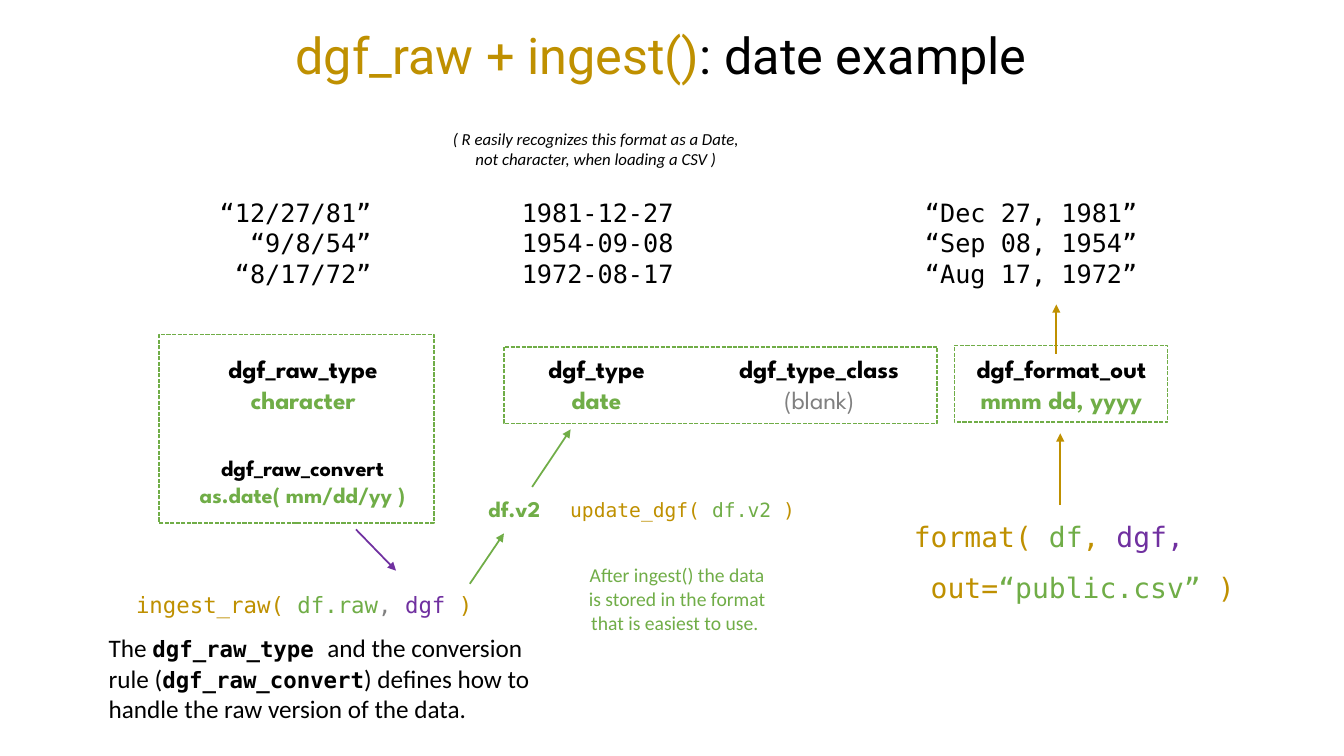
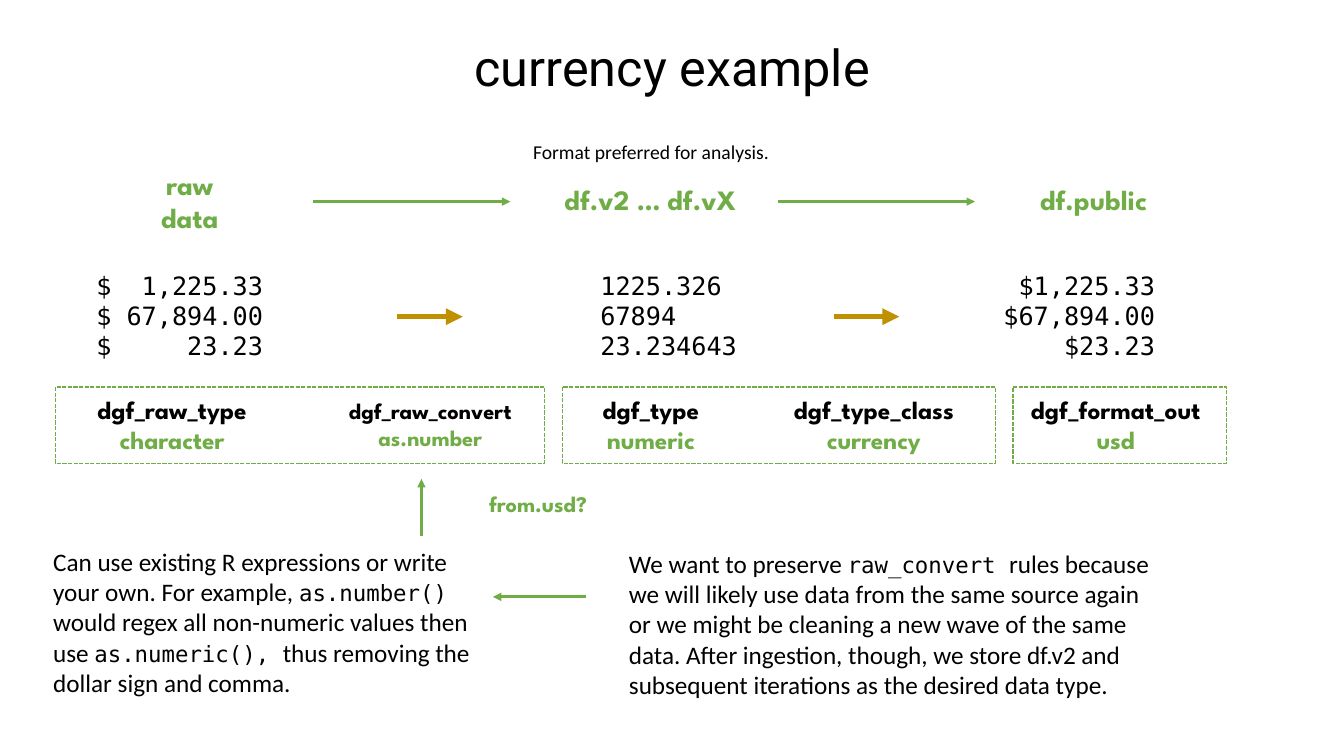
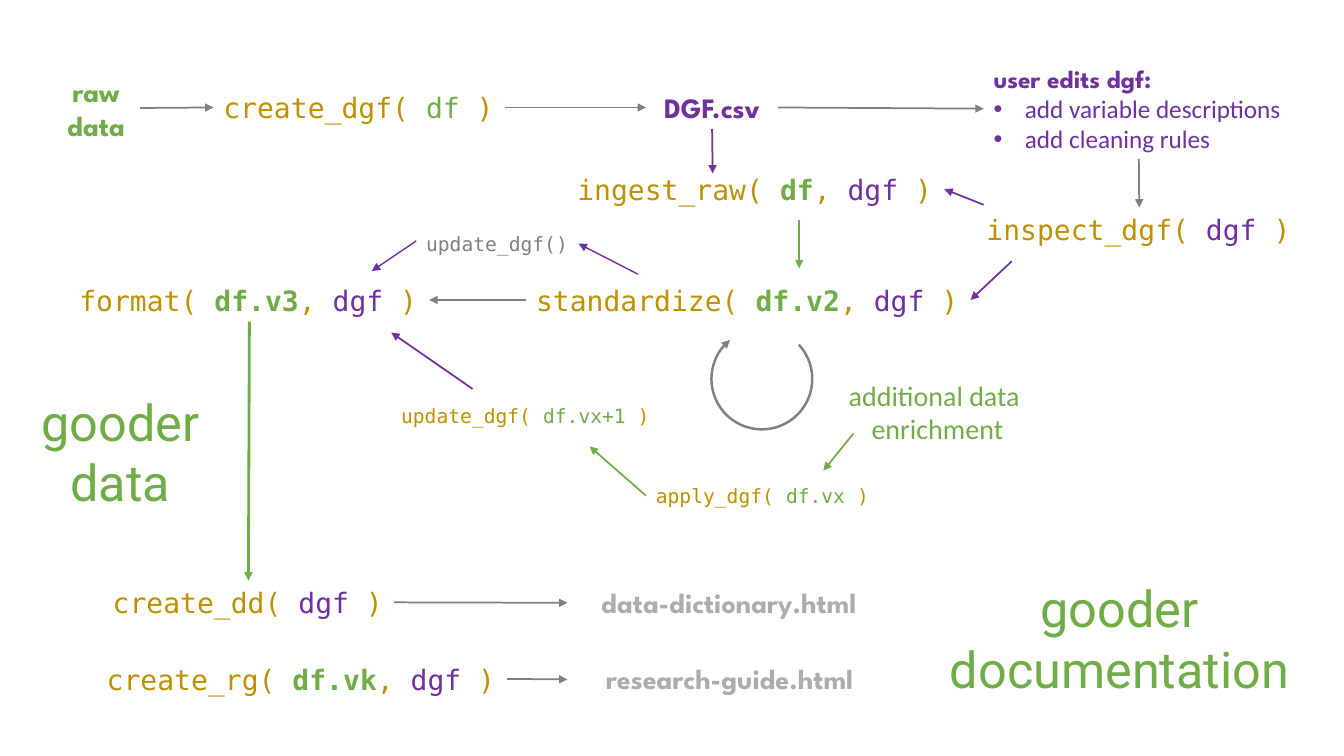
from typing import NamedTuple

from lxml import etree
from pptx import Presentation
from pptx.dml.color import RGBColor
from pptx.enum.dml import MSO_LINE
from pptx.enum.shapes import MSO_CONNECTOR, MSO_SHAPE
from pptx.enum.text import MSO_AUTO_SIZE, PP_ALIGN
from pptx.oxml.ns import qn
from pptx.util import Cm, Pt

BLACK = RGBColor(0x00, 0x00, 0x00)
GREEN = RGBColor(0x70, 0xAD, 0x47)
GOLD = RGBColor(0xBF, 0x90, 0x00)
PURPLE = RGBColor(0x70, 0x30, 0xA0)
GRAY = RGBColor(0x80, 0x80, 0x80)
SILVER = RGBColor(0xAF, 0xAB, 0xAB)

BODY, MONO, HEAVY, TITLE = "Calibri", "DejaVu Sans Mono", "League Spartan", "Roboto"

LEFT, CENTER = PP_ALIGN.LEFT, PP_ALIGN.CENTER
FIT = MSO_AUTO_SIZE.SHAPE_TO_FIT_TEXT
STRAIGHT = MSO_CONNECTOR.STRAIGHT
RECTANGLE, ARC = MSO_SHAPE.RECTANGLE, MSO_SHAPE.ARC
SHORT_DASH = MSO_LINE.SQUARE_DOT
TOP_SIDE, LEFT_SIDE, BOTTOM_SIDE, RIGHT_SIDE = range(4)


class Style(NamedTuple):
    font: str
    size: float
    color: RGBColor = BLACK
    bold: bool = False
    italic: bool = False


PROSE = Style(BODY, 18)
PROSE_CODE = Style(MONO, 16)
PROSE_KEY = Style(MONO, 16, bold=True)
STAGE = Style(HEAVY, 20, GREEN, True)
STEP = Style(HEAVY, 16, GREEN, True)
FILE = Style(HEAVY, 20, SILVER, True)
RESULT = Style(TITLE, 36, GREEN)

DF, DGF = ("df", GREEN), ("dgf", PURPLE)


def apply_style(span, style):
    font = span.font
    font.name, font.size = style.font, Pt(style.size)
    font.bold, font.italic = style.bold, style.italic
    font.color.rgb = style.color


def add_arrowhead(shape):
    line = shape._element.spPr.find(qn("a:ln"))
    etree.SubElement(line, qn("a:tailEnd"), type="triangle")


class Sketch:
    """Draws on the current slide; all places and sizes are in centimetres."""

    def __init__(self):
        self.deck = Presentation()
        self.deck.slide_width, self.deck.slide_height = Cm(33.87), Cm(19.05)

    def new_slide(self):
        self.page = self.deck.slides.add_slide(self.deck.slide_layouts[6])
        self.shapes = self.page.shapes

    def box(self, left, top, width, size, rows, wrap):
        """Add an empty text box as high as its rows of text."""
        height = Pt(1.2 * size * rows) + Cm(0.25)
        box = self.shapes.add_textbox(Cm(left), Cm(top), Cm(width), height)
        box.text_frame.word_wrap = wrap
        box.text_frame.auto_size = FIT
        return box

    def label(self, left, top, width, text, style, align=CENTER, rows=1, wrap=False):
        """Set text in one style; a vertical tab breaks the line."""
        box = self.box(left, top, width, style.size, rows, wrap)
        box.text_frame.text = text
        for para in box.text_frame.paragraphs:
            para.alignment = align
            for span in para.runs:
                apply_style(span, style)
        return box

    def mixed_text(self, left, top, width, paragraphs, size, rows=1, wrap=False,
                   align=LEFT, spacing=None):
        """Set paragraphs, each a list of (text, style) pairs."""
        box = self.box(left, top, width, size, rows, wrap)
        frame = box.text_frame
        for number, pieces in enumerate(paragraphs):
            para = frame.add_paragraph() if number else frame.paragraphs[0]
            para.alignment = align
            if spacing:
                para.line_spacing = spacing
            for text, style in pieces:
                span = para.add_run()
                span.text = text
                apply_style(span, style)
        return box

    def title(self, left, top, width, *pieces):
        pieces = [(text, Style(TITLE, 36, color)) for text, color in pieces]
        self.mixed_text(left, top, width, [pieces], 36, align=CENTER)

    def call(self, left, top, width, name, *arguments, size=20, comma=GOLD):
        """Show a function call; an argument is (text, colour) or (text, colour, bold)."""
        pieces = [(name + "( ", Style(MONO, size, GOLD))]
        for number, (text, color, *bold) in enumerate(arguments):
            if number:
                pieces.append((", ", Style(MONO, size, comma)))
            pieces.append((text, Style(MONO, size, color, bool(bold))))
        pieces.append((" )", Style(MONO, size, GOLD)))
        return self.mixed_text(left, top, width, [pieces], size)

    def field(self, left, top, width, name, value, size=18, color=GREEN, bold=True):
        paragraphs = [[(name, Style(HEAVY, size, BLACK, True))],
                      [(value, Style(HEAVY, size, color, bold))]]
        self.mixed_text(left, top, width, paragraphs, size, rows=2, align=CENTER)

    def values(self, left, top, width, stops, rows):
        """Show rows of data lined up on tab stops (centimetres, alignment)."""
        box = self.label(left, top, width, "\n".join(rows), Style(MONO, 18),
                         LEFT, len(rows), True)
        for para in box.text_frame.paragraphs:
            tabs = etree.SubElement(para._p.get_or_add_pPr(), qn("a:tabLst"))
            for position, align in stops:
                etree.SubElement(tabs, qn("a:tab"), pos=str(Cm(position)), algn=align)

    def bullet(self, para):
        properties = para._p.get_or_add_pPr()
        indent = Cm(0.79)
        properties.set("marL", str(indent))
        properties.set("indent", str(-indent))
        etree.SubElement(properties, qn("a:buFont"), typeface="Arial")
        etree.SubElement(properties, qn("a:buChar"), char="•")

    def frame(self, left, top, width, height=1.93):
        frame = self.shapes.add_shape(RECTANGLE, Cm(left), Cm(top), Cm(width), Cm(height))
        frame.shadow.inherit = False
        frame.fill.background()
        frame.line.color.rgb = GREEN
        frame.line.width = Pt(1)
        frame.line.dash_style = SHORT_DASH

    def arrow(self, start, end, color=GREEN, width=1.25):
        """Draw an arrow; each end is a point (x, y) or a joint (box, side)."""
        joints = [not isinstance(place[0], (int, float)) for place in (start, end)]
        points = [(0, 0) if joint else place
                  for joint, place in zip(joints, (start, end))]
        arrow = self.shapes.add_connector(
            STRAIGHT, *(Cm(value) for point in points for value in point))
        if joints[0]:
            arrow.begin_connect(*start)
        if joints[1]:
            arrow.end_connect(*end)
        arrow.line.color.rgb = color
        arrow.line.width = Pt(width)
        add_arrowhead(arrow)
        etree.SubElement(arrow._element.spPr, qn("a:effectLst"))

    def loop(self, left, top, size):
        """Draw an open circle with an arrowhead."""
        loop = self.shapes.add_shape(ARC, Cm(left), Cm(top), Cm(size), Cm(size))
        loop.adjustments[0], loop.adjustments[1] = 162, 110.09
        loop.rotation = 47.2
        loop.shadow.inherit = False
        loop.fill.background()
        loop.line.color.rgb = GRAY
        loop.line.width = Pt(1.75)
        add_arrowhead(loop)


def draw_date_example(sketch):
    sketch.new_slide()
    sketch.title(6.27, 0.48, 20.78, ("dgf_raw + ingest()", GOLD), (": date example", BLACK))
    sketch.label(11.07, 3.12, 7.9,
                 "( R easily recognizes this format as a Date, not character, "
                 "when loading a CSV )", Style(BODY, 12, italic=True), rows=2, wrap=True)
    sketch.values(5.28, 4.85, 26.14, [(3.83, "r"), (7.62, "l"), (17.78, "l")], [
        "\t“12/27/81”\t1981-12-27\t“Dec 27, 1981”",
        "\t“9/8/54”\t1954-09-08\t“Sep 08, 1954”",
        "\t“8/17/72”\t1972-08-17\t“Aug 17, 1972”"])

    sketch.field(5.28, 8.79, 4.72, "dgf_raw_type", "character")
    sketch.field(4.45, 11.33, 6.35, "dgf_raw_convert", "as.date( mm/dd/yy )", 16)
    sketch.field(13.41, 8.79, 3.25, "dgf_type", "date")
    sketch.field(18.08, 8.79, 5.13, "dgf_type_class", "(blank)", color=GRAY, bold=False)
    sketch.field(24.16, 8.79, 5.18, "dgf_format_out", "mmm dd, yyyy")
    sketch.frame(4.01, 8.43, 6.93, 4.75)
    sketch.frame(12.7, 8.74, 10.92)
    sketch.frame(24.05, 8.71, 5.38)

    sketch.call(3.18, 14.76, 9.09, "ingest_raw", ("df.raw", GREEN), DGF,
                size=16, comma=GRAY)
    sketch.label(12.04, 12.34, 1.85, "df.v2", STEP)
    sketch.call(14.12, 12.42, 6.17, "update_dgf", ("df.v2", GREEN), size=14)
    gold, green, purple = (Style(MONO, 20, color) for color in (GOLD, GREEN, PURPLE))
    sketch.mixed_text(22.78, 12.55, 8.64, [
        [("format( ", gold), ("df", green), (", ", gold), ("dgf,", purple)],
        [(" out=", gold), ("“public.csv”", green), (" )", gold)]],
        20, rows=3, spacing=1.5)
    sketch.label(14.55, 14.07, 5.03,
                 "After ingest() the data is stored in the format that is easiest to use. ",
                 Style(BODY, 14, GREEN), rows=3, wrap=True)
    sketch.mixed_text(2.49, 15.82, 11.15, [[
        ("The ", PROSE), ("dgf_raw_type ", PROSE_KEY),
        ("and the conversion rule (", PROSE), ("dgf_raw_convert", PROSE_KEY),
        (") defines how to handle the raw version of the data.", PROSE)]],
        18, rows=3, wrap=True)

    sketch.arrow((26.72, 12.73), (26.72, 10.92), GOLD)
    sketch.arrow((26.62, 8.92), (26.62, 7.67), GOLD)
    sketch.arrow((8.97, 13.34), (9.98, 14.38), PURPLE)
    sketch.arrow((11.84, 14.71), (12.7, 13.44))
    sketch.arrow((13.41, 12.27), (14.38, 10.82))


def draw_currency_example(sketch):
    sketch.new_slide()
    sketch.title(11.23, 0.79, 11.43, ("currency example", BLACK))
    sketch.label(13.16, 3.4, 6.5, "Format preferred for analysis. ",
                 Style(BODY, 14), wrap=True)
    sketch.label(3.68, 4.09, 2.21, "raw\vdata", STAGE, rows=2)
    sketch.label(13.87, 4.47, 5.05, "df.v2 … df.vX", STAGE)
    sketch.label(25.78, 4.47, 3.56, "df.public", STAGE)
    sketch.values(2.18, 6.68, 30.33, [(4.2, "r"), (12.7, "l"), (26.68, "r")], [
        "$\t1,225.33\t1225.326\t$1,225.33",
        "$\t67,894.00\t67894\t$67,894.00",
        "$\t23.23\t23.234643\t$23.23"])
    for stage_left, value_left in ((7.9, 10.01), (19.61, 21.01)):
        sketch.arrow((stage_left, 5.08), (stage_left + 4.96, 5.08), width=2)
        sketch.arrow((value_left, 7.98), (value_left + 1.65, 7.98), GOLD, 4)

    sketch.field(1.98, 9.8, 4.72, "dgf_raw_type", "character")
    sketch.field(8.28, 9.88, 5.13, "dgf_raw_convert", "as.number", 16)
    sketch.field(14.78, 9.8, 3.25, "dgf_type", "numeric")
    sketch.field(19.46, 9.8, 5.13, "dgf_type_class", "currency")
    sketch.field(25.53, 9.8, 5.18, "dgf_format_out", "usd")
    for left, width in ((1.4, 12.32), (14.17, 10.92), (25.53, 5.38)):
        sketch.frame(left, 9.75, width)

    sketch.label(11.96, 12.22, 3.2, "from.usd?", STEP)
    sketch.mixed_text(1.09, 13.64, 11.15, [[
        ("Can use existing R expressions or write your own. For example, ", PROSE),
        ("as.number() ", PROSE_CODE),
        ("would regex all non-numeric values then use ", PROSE),
        ("as.numeric(), ", PROSE_CODE),
        ("thus removing the dollar sign and comma.", PROSE)]], 18, rows=5, wrap=True)
    sketch.mixed_text(15.6, 13.69, 13.74, [[
        ("We want to preserve ", PROSE), ("raw_convert ", PROSE_CODE),
        ("rules because we will likely use data from the same source again or we "
         "might be cleaning a new wave of the same data. After ingestion, though, we "
         "store df.v2 and subsequent iterations as the desired data type.", PROSE)]],
        18, rows=5, wrap=True)
    sketch.arrow((10.62, 13.51), (10.62, 12.07), width=2)
    sketch.arrow((14.78, 15.04), (12.42, 15.04), width=2)


def draw_workflow(sketch):
    sketch.new_slide()
    raw_data = sketch.label(1.32, 1.75, 2.21, "raw\vdata", STAGE, rows=2)
    create_dgf = sketch.call(5.38, 2.16, 7.34, "create_dgf", DF)
    dgf_file = sketch.label(16.28, 2.16, 3.33, "DGF.csv", Style(HEAVY, 20, PURPLE, True))
    edit_item = Style(BODY, 18, PURPLE)
    user_edits = sketch.mixed_text(24.79, 1.47, 7.82, [
        [("user edits dgf:", Style(HEAVY, 18, PURPLE, True))],
        [("add variable descriptions", edit_item)],
        [("add cleaning rules", edit_item)]], 18, rows=3)
    for para in user_edits.text_frame.paragraphs[1:]:
        sketch.bullet(para)

    ingest = sketch.call(14.3, 4.22, 9.5, "ingest_raw", ("df", GREEN, True), DGF)
    inspection = sketch.call(24.61, 5.23, 8.2, "inspect_dgf", DGF)
    standardize = sketch.call(13.26, 7.01, 11.2, "standardize", ("df.v2", GREEN, True), DGF)
    format_call = sketch.call(1.75, 7.01, 9.07, "format", ("df.v3", GREEN, True), DGF)
    update = sketch.label(10.49, 5.72, 4.09, "update_dgf()", Style(MONO, 14, GRAY), LEFT)
    sketch.call(9.86, 10.06, 6.78, "update_dgf", ("df.vx+1", GREEN), size=14)
    apply_dgf = sketch.call(16.28, 12.07, 5.89, "apply_dgf", ("df.vx", GREEN), size=14)
    create_dd = sketch.call(2.59, 14.63, 7.34, "create_dd", DGF)
    create_rg = sketch.call(2.44, 16.56, 10.34, "create_rg", ("df.vk", GREEN, True), DGF)
    sketch.label(14.58, 14.63, 7.59, "data-dictionary.html", FILE)
    sketch.label(14.63, 16.54, 7.52, "research-guide.html", FILE)
    sketch.label(21.11, 9.4, 5.03, "additional data \nenrichment",
                 Style(BODY, 20, GREEN), rows=2)
    sketch.label(0.56, 9.73, 4.95, "gooder\vdata", RESULT, rows=2)
    sketch.label(23.44, 14.43, 9.55, "gooder\vdocumentation", RESULT, rows=2)
    sketch.loop(17.93, 8.28, 2.54)

    for start, end in ((raw_data, create_dgf), (create_dgf, dgf_file),
                       (dgf_file, user_edits)):
        sketch.arrow((start, RIGHT_SIDE), (end, LEFT_SIDE), GRAY)
    sketch.arrow((user_edits, BOTTOM_SIDE), (inspection, TOP_SIDE), GRAY)
    sketch.arrow((standardize, LEFT_SIDE), (format_call, RIGHT_SIDE), GRAY)
    sketch.arrow((create_dd, RIGHT_SIDE), (14.3, 15.19), GRAY)
    sketch.arrow((create_rg, RIGHT_SIDE), (14.3, 17.12), GRAY)

    sketch.arrow((dgf_file, BOTTOM_SIDE), (17.96, 4.37), PURPLE)
    sketch.arrow((24.79, 5.16), (ingest, RIGHT_SIDE), PURPLE)
    sketch.arrow((25.5, 6.58), (standardize, RIGHT_SIDE), PURPLE)
    sketch.arrow((11.91, 9.8), (9.86, 8.38), PURPLE)
    sketch.arrow((16.08, 6.91), (update, RIGHT_SIDE), PURPLE, 1)
    sketch.arrow((10.49, 6.07), (9.37, 6.83), PURPLE, 1)

    sketch.arrow((format_call, BOTTOM_SIDE), (create_dd, TOP_SIDE), width=2)
    sketch.arrow((20.14, 5.54), (20.14, 6.76))
    sketch.arrow((21.51, 10.92), (20.75, 11.86))
    sketch.arrow((apply_dgf, LEFT_SIDE), (14.86, 11.25))


def main():
    sketch = Sketch()
    draw_date_example(sketch)
    draw_currency_example(sketch)
    draw_workflow(sketch)
    sketch.deck.save("out.pptx")


if __name__ == "__main__":
    main()
